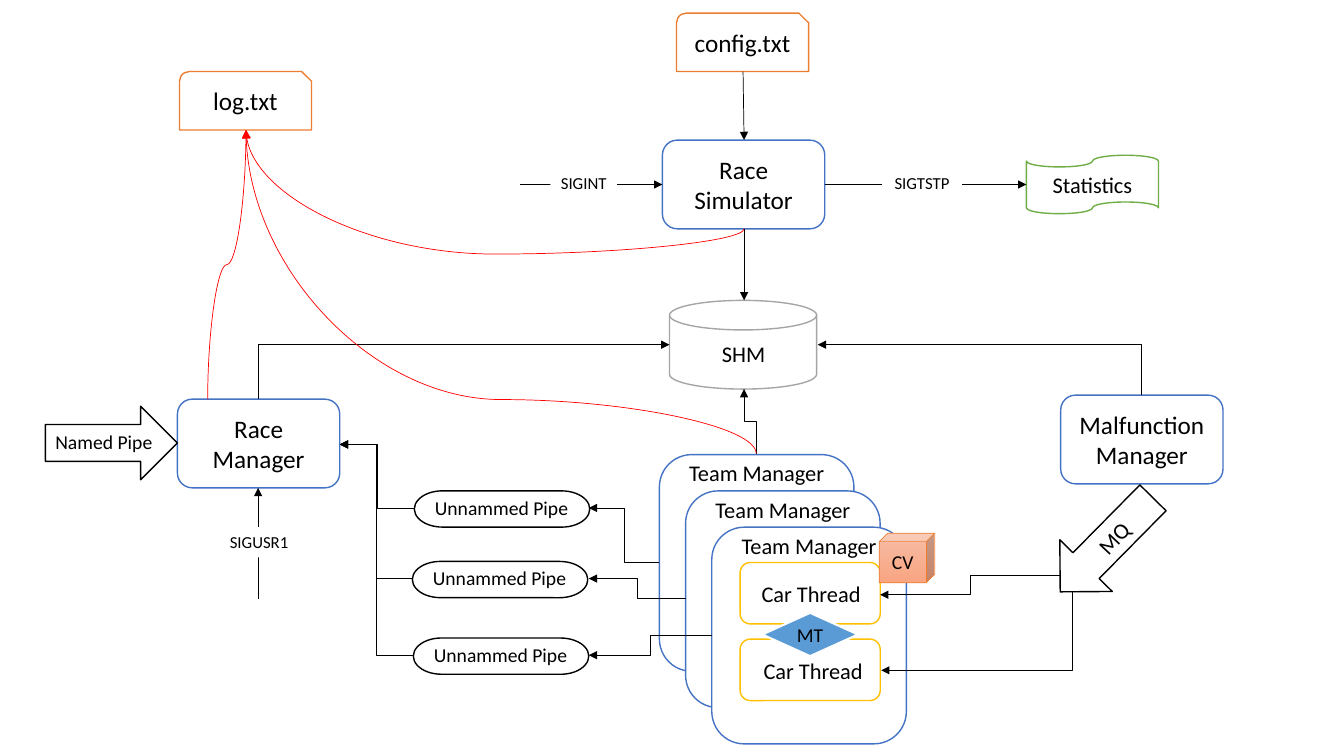
import math

import pptx
import pptx.dml.color
import pptx.enum.shapes
import pptx.enum.text
import pptx.oxml
import pptx.oxml.ns
import pptx.util

PX = 9144
FONT = "Calibri"
COLORS = {
    "paper": "FFFFFF", "ink": "000000", "process": "4472C4", "file": "ED7D31",
    "statistics": "70AD47", "memory": "A5A5A5", "thread": "FFC000", "log": "FF0000",
    "mutex": "5B9BD5", "cube_top": "F7BDA5", "cube_bottom": "F8A582",
}
SHAPE = pptx.enum.shapes.MSO_SHAPE
LINK = pptx.enum.shapes.MSO_CONNECTOR


def px(*lengths):
    return [pptx.util.Emu(round(length * PX)) for length in lengths]


def rgb(name):
    return pptx.dml.color.RGBColor.from_string(COLORS[name])


def write(item, words, size, align=pptx.enum.text.PP_ALIGN.CENTER):
    frame = item.text_frame
    frame.word_wrap = True
    frame.text = words
    paragraph = frame.paragraphs[0]
    paragraph.alignment = align
    paragraph.font.size = pptx.util.Pt(size)
    paragraph.font.name = FONT
    paragraph.font.color.rgb = rgb("ink")
    return frame


def outline(slide, kind, box, line=None, fill="paper", weight=1, turn=0):
    shape = slide.shapes.add_shape(kind, *px(*box))
    shape.shadow.inherit = False
    shape.rotation = turn
    shape.fill.solid()
    shape.fill.fore_color.rgb = rgb(fill)
    if line:
        shape.line.color.rgb = rgb(line)
        shape.line.width = pptx.util.Pt(weight)
    else:
        shape.line.fill.background()
    return shape


def label(slide, box, words, size, turn=0, align=pptx.enum.text.PP_ALIGN.CENTER):
    caption = slide.shapes.add_textbox(*px(*box))
    caption.rotation = turn
    frame = write(caption, words, size, align)
    frame.auto_size = pptx.enum.text.MSO_AUTO_SIZE.SHAPE_TO_FIT_TEXT


def arrow(slide, start, end, kind=LINK.STRAIGHT, color="ink", upright=False, bend=None, corner=False):
    (x1, y1), (x2, y2) = start, end
    if upright:
        mid_x, mid_y = (x1 + x2) / 2, (y1 + y2) / 2
        half_x, half_y = (y1 - y2) / 2, (x2 - x1) / 2
        x1, y1, x2, y2 = mid_x - half_x, mid_y - half_y, mid_x + half_x, mid_y + half_y
    connector = slide.shapes.add_connector(kind, *px(x1, y1, x2, y2))
    connector.line.color.rgb = rgb(color)
    connector.line.width = pptx.util.Pt(0.5)
    properties = connector._element.spPr
    if upright:
        properties.find(pptx.oxml.ns.qn("a:xfrm")).set("rot", str(270 * 60000))
    geometry = properties.find(pptx.oxml.ns.qn("a:prstGeom"))
    if corner:
        geometry.set("prst", "bentConnector2")
    if bend is not None:
        guide = pptx.oxml.parse_xml(f'<a:gd {pptx.oxml.ns.nsdecls("a")} name="adj1" fmla="val {round(bend * 100000)}"/>')
        geometry.find(pptx.oxml.ns.qn("a:avLst")).append(guide)
    head = pptx.oxml.parse_xml(f'<a:tailEnd {pptx.oxml.ns.nsdecls("a")} type="triangle"/>')
    properties.find(pptx.oxml.ns.qn("a:ln")).append(head)
    properties.append(pptx.oxml.parse_xml(f'<a:effectLst {pptx.oxml.ns.nsdecls("a")}/>'))


def draw_file(slide, box, words):
    left, top, width, height = box
    outline(slide, SHAPE.SNIP_ROUND_RECTANGLE, box, "file")
    label(slide, (left + 4, top + 9, width - 8, 40), words, 18)


def draw_process(slide, box, words):
    left, top, width, height = box
    outline(slide, SHAPE.ROUNDED_RECTANGLE, box, "process")
    label(slide, (left, top + 9, width, 71), words, 18)


def draw_statistics(slide, box):
    left, top, width, height = box
    outline(slide, SHAPE.FLOWCHART_PUNCHED_TAPE, box, "statistics")
    label(slide, (left, top + 11, width, 37), "Statistics", 16)


def draw_shared_memory(slide, box):
    left, top, width, height = box
    outline(slide, SHAPE.FLOWCHART_MAGNETIC_DISK, box, "memory")
    label(slide, (left + 5, top + 35, width - 9, 37), "SHM", 16)


def draw_team_managers(slide, box):
    left, top, width, height = box
    for layer in range(3):
        x, y = left + 26 * layer, top + 36 * layer
        outline(slide, SHAPE.ROUNDED_RECTANGLE, (x, y, width, height), "process")
        label(slide, (x + 6, y, 181, 37), "Team Manager", 16)
    for row in range(2):
        y = top + 107 + 76 * row
        outline(slide, SHAPE.ROUNDED_RECTANGLE, (left + 80, y, 139, 61), "thread")
        label(slide, (left + 82 + 2 * row, y + 13, 137, 37), "Car Thread", 16)


def draw_thread_sync(slide, box):
    left, top, width, height = box
    mutex = outline(slide, SHAPE.FLOWCHART_DECISION, (left, top + 79, 95, 43), "paper", "mutex", 1.5)
    condition = outline(slide, SHAPE.CUBE, (left + 116, top, 55, 49), "file", weight=0.5)
    condition.adjustments[0] = 0.17
    condition.fill.gradient()
    condition.fill.gradient_angle = 270
    for stop, shade in zip(condition.fill.gradient_stops, ("cube_top", "cube_bottom")):
        stop.color.rgb = rgb(shade)
    for part, words in ((mutex, "MT"), (condition, "CV")):
        write(part, words, 14).vertical_anchor = pptx.enum.text.MSO_ANCHOR.MIDDLE


def draw_named_pipe(slide, box):
    left, top, width, height = box
    outline(slide, SHAPE.RIGHT_ARROW, box, "ink")
    label(slide, (left, top + 19, 125, 34), "Named Pipe", 14, align=pptx.enum.text.PP_ALIGN.LEFT)


def draw_message_queue(slide, box):
    left, top, width, height = box
    outline(slide, SHAPE.RIGHT_ARROW, box, "ink", turn=134.6)
    label(slide, (left + 4, top + 11, 137, 37), "MQ", 16, turn=313.2)


def draw_unnamed_pipes(slide, box, team_edge, manager_edge):
    left, top, width, height = box
    for layer, (shift, drop) in enumerate(((2, 0), (0, 70), (1, 146))):
        x, y = left + shift, top + drop
        middle = y + height // 2 - 1
        outline(slide, SHAPE.FLOWCHART_TERMINATOR, (x, y, width, height), "ink")
        label(slide, (x, y, width - 1, 34), "Unnammed Pipe", 14)
        team = (team_edge[0] + 26 * layer, team_edge[1] + 36 * layer)
        arrow(slide, team, (left + width + 1, middle), LINK.ELBOW)
        arrow(slide, (x, middle), manager_edge, LINK.ELBOW)


def draw_signal(slide, box, words, start, end):
    arrow(slide, start, end)
    frame = write(outline(slide, SHAPE.RECTANGLE, box), words, 12)
    frame.auto_size = pptx.enum.text.MSO_AUTO_SIZE.SHAPE_TO_FIT_TEXT


def draw_memory_links(slide):
    arrow(slide, (737, 71), (738, 139))
    arrow(slide, (738, 227), (738, 298))
    arrow(slide, (256, 396), (664, 342), LINK.ELBOW, upright=True, corner=True)
    arrow(slide, (1132, 392), (811, 342), LINK.ELBOW, upright=True, corner=True)
    arrow(slide, (750, 450), (738, 386), LINK.ELBOW, upright=True)


def draw_queue_links(slide):
    arrow(slide, (1052, 571), (873, 590), LINK.ELBOW, bend=0.5)
    arrow(slide, (1060, 587), (874, 665), LINK.ELBOW, bend=-0.022)


def draw_log_links(slide, log_edge):
    for start, bend in (((206, 396), 0.5), ((750, 450), 0.167), ((738, 227), -0.256)):
        arrow(slide, start, log_edge, LINK.CURVE, "log", upright=True, bend=bend)


def main():
    deck = pptx.Presentation()
    deck.slide_width, deck.slide_height = px(1333, 750)
    slide = deck.slides.add_slide(deck.slide_layouts[6])
    draw_statistics(slide, (1018, 154, 131, 58))
    draw_file(slide, (671, 13, 131, 58), "config.txt")
    draw_file(slide, (178, 71, 131, 58), "log.txt")
    draw_process(slide, (657, 139, 161, 88), "Race Simulator")
    draw_process(slide, (176, 396, 161, 88), "Race Manager")
    draw_process(slide, (1052, 392, 161, 88), "Malfunction Manager")
    draw_team_managers(slide, (654, 451, 193, 215))
    draw_shared_memory(slide, (664, 298, 146, 88))
    draw_named_pipe(slide, (45, 403, 131, 73))
    draw_message_queue(slide, (1032, 504, 131, 73))
    draw_unnamed_pipes(slide, (409, 487, 174, 36), (654, 558), (337, 441))
    draw_memory_links(slide)
    draw_queue_links(slide)
    draw_signal(slide, (546, 166, 66, 30), "SIGINT", (516, 183), (657, 183))
    draw_signal(slide, (875, 166, 79, 30), "SIGTSTP", (818, 183), (1018, 183))
    draw_signal(slide, (200, 523, 114, 30), "SIGUSR1", (256, 594), (256, 484))
    draw_log_links(slide, (244, 129))
    draw_thread_sync(slide, (756, 529, 171, 122))
    deck.save("out.pptx")


if __name__ == "__main__":
    main()
